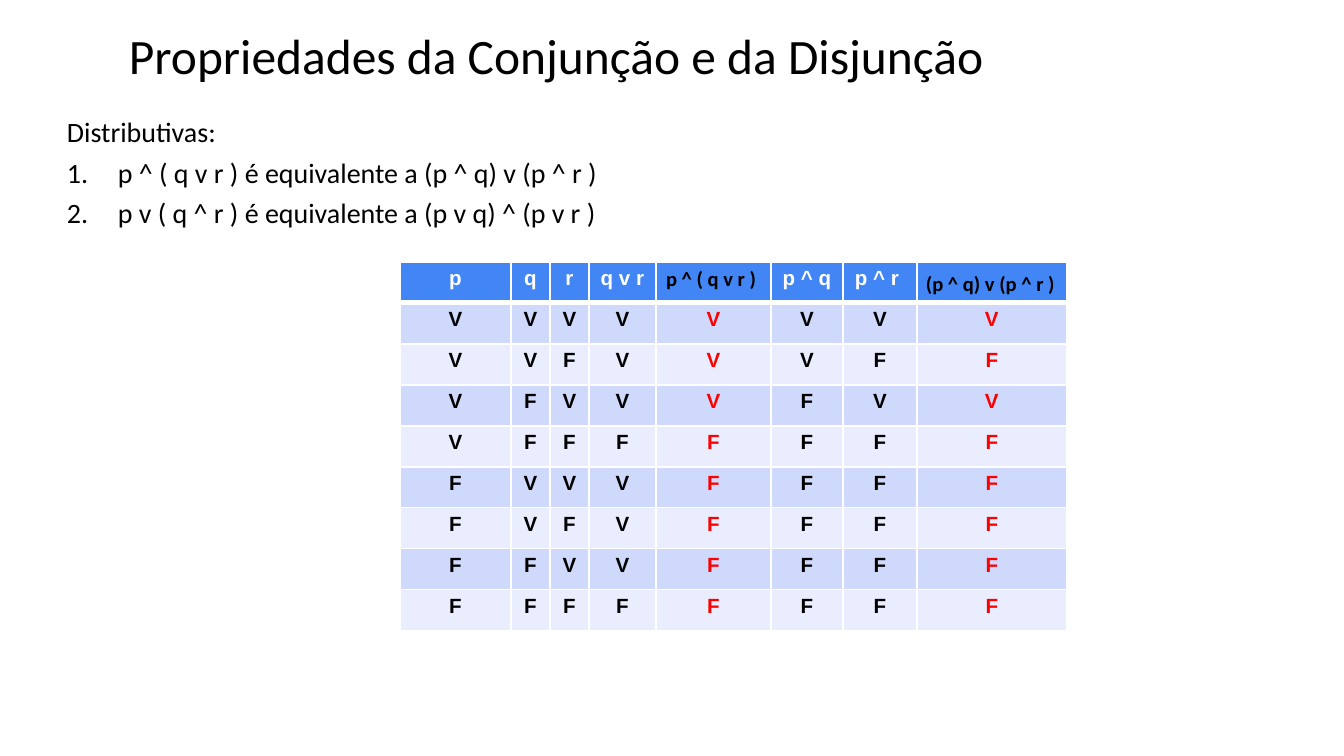
from dataclasses import dataclass

from lxml.etree import SubElement
from pptx import Presentation
from pptx.dml.color import RGBColor
from pptx.enum.text import MSO_ANCHOR, PP_ALIGN
from pptx.oxml.ns import qn
from pptx.util import Emu, Pt

EMU_PER_PX = 914400 / 134.4
TITLE = "Propriedades da Conjunção e da Disjunção"
LAWS_HEADING = "Distributivas: "
LAWS = [
    "p ^ ( q v r ) é equivalente a (p ^ q) v (p ^ r )",
    "p v ( q ^ r ) é equivalente a (p v q) ^ (p v r )",
]
PROPOSITIONS = ["p", "q", "r", "q v r", "p ^ ( q v r ) ", "p ^ q", "p ^ r ", "(p ^ q) v (p ^ r )"]
TRUTH_VALUES = ["VVVVVVVV", "VVFVVVFF", "VFVVVFVV", "VFFFFFFF",
                "FVVVFFFF", "FVFVFFFF", "FFVVFFFF", "FFFFFFFF"]
COLUMN_WIDTHS = [111, 39, 39, 67, 115, 72, 74, 150]
ROW_HEIGHT = 41
COMPARED = (4, 7)


@dataclass(frozen=True)
class Theme:
    ink: str = "000000"
    paper: str = "FFFFFF"
    accent: str = "FF0000"
    header: str = "4285F4"
    bands: tuple = ("CFD9FB", "E9EDFD")
    prose_font: str = "Calibri"
    table_font: str = "Arial"
    title_size: float = 26.5
    prose_size: float = 15
    table_size: float = 11
    rule: int = 1
    header_rule: int = 3
    line_spacing: float = 1.2


def px(length):
    return Emu(round(length * EMU_PER_PX))


class SlideWriter:
    def __init__(self, slide, theme):
        self.slide = slide
        self.theme = theme

    def run(self, paragraph, text, size, font, color, bold=False):
        run = paragraph.add_run()
        run.text = text
        run.font.size = Pt(size)
        run.font.name = font
        run.font.bold = bold
        run.font.color.rgb = RGBColor.from_string(color)

    def text_box(self, left, top, width, height):
        frame = self.slide.shapes.add_textbox(px(left), px(top), px(width), px(height)).text_frame
        frame.word_wrap = True
        frame.margin_left = frame.margin_right = px(9)
        frame.margin_top = frame.margin_bottom = px(5)
        return frame

    def title(self, text):
        frame = self.text_box(120, 20, 948, 71)
        self.run(frame.paragraphs[0], text, self.theme.title_size, self.theme.prose_font, self.theme.ink)

    def laws(self, heading, statements):
        frame = self.text_box(58, 103, 1173, 54)
        self.law_line(frame.paragraphs[0], heading)
        for statement in statements:
            paragraph = frame.add_paragraph()
            self.number(paragraph)
            self.law_line(paragraph, statement)

    def law_line(self, paragraph, text):
        paragraph.alignment = PP_ALIGN.JUSTIFY
        paragraph.line_spacing = self.theme.line_spacing
        self.run(paragraph, text, self.theme.prose_size, self.theme.prose_font, self.theme.ink)

    def number(self, paragraph):
        properties = paragraph._p.get_or_add_pPr()
        properties.set("marL", str(px(51)))
        properties.set("indent", str(px(-51)))
        bullet_color = SubElement(properties, qn("a:buClr"))
        SubElement(bullet_color, qn("a:srgbClr"), val=self.theme.ink)
        SubElement(properties, qn("a:buAutoNum"), type="arabicPeriod")

    def truth_table(self, left, top, propositions, truth_values):
        theme = self.theme
        rows = [propositions, *truth_values]
        table = self.slide.shapes.add_table(
            len(rows), len(propositions), px(left), px(top),
            px(sum(COLUMN_WIDTHS)), px(ROW_HEIGHT * len(rows))).table
        for column, width in zip(table.columns, COLUMN_WIDTHS):
            column.width = px(width)
        for r, entries in enumerate(rows):
            table.rows[r].height = px(ROW_HEIGHT)
            for c, entry in enumerate(entries):
                compared = c in COMPARED
                font, fill = theme.table_font, theme.bands[(r - 1) % 2]
                color = theme.accent if compared else theme.ink
                if r == 0:
                    font = theme.prose_font if compared else theme.table_font
                    color = theme.ink if compared else theme.paper
                    fill = theme.header
                cell = table.cell(r, c)
                self.borders(cell, r)
                self.cell(cell, entry, font, color, fill)
        conclusion = table.cell(0, COMPARED[-1]).text_frame.paragraphs[0]
        conclusion.alignment = PP_ALIGN.JUSTIFY
        conclusion.line_spacing = theme.line_spacing

    def cell(self, cell, text, font, color, fill):
        cell.margin_left = cell.margin_right = px(9)
        cell.margin_top = cell.margin_bottom = px(5)
        cell.vertical_anchor = MSO_ANCHOR.TOP
        cell.fill.solid()
        cell.fill.fore_color.rgb = RGBColor.from_string(fill)
        paragraph = cell.text_frame.paragraphs[0]
        paragraph.alignment = PP_ALIGN.CENTER
        self.run(paragraph, text, self.theme.table_size, font, color, bold=True)

    def borders(self, cell, row):
        properties = cell._tc.get_or_add_tcPr()
        for side in ("L", "R", "T", "B"):
            below_header = (row, side) in ((0, "B"), (1, "T"))
            weight = self.theme.header_rule if below_header else self.theme.rule
            line = SubElement(properties, qn(f"a:ln{side}"), w=str(Pt(weight)))
            paint = SubElement(line, qn("a:solidFill"))
            SubElement(paint, qn("a:srgbClr"), val=self.theme.paper)


def main():
    deck = Presentation()
    deck.slide_width, deck.slide_height = px(1344), px(756)
    writer = SlideWriter(deck.slides.add_slide(deck.slide_layouts[6]), Theme())
    writer.title(TITLE)
    writer.laws(LAWS_HEADING, LAWS)
    writer.truth_table(400, 262, PROPOSITIONS, TRUTH_VALUES)
    deck.save("out.pptx")


if __name__ == "__main__":
    main()
